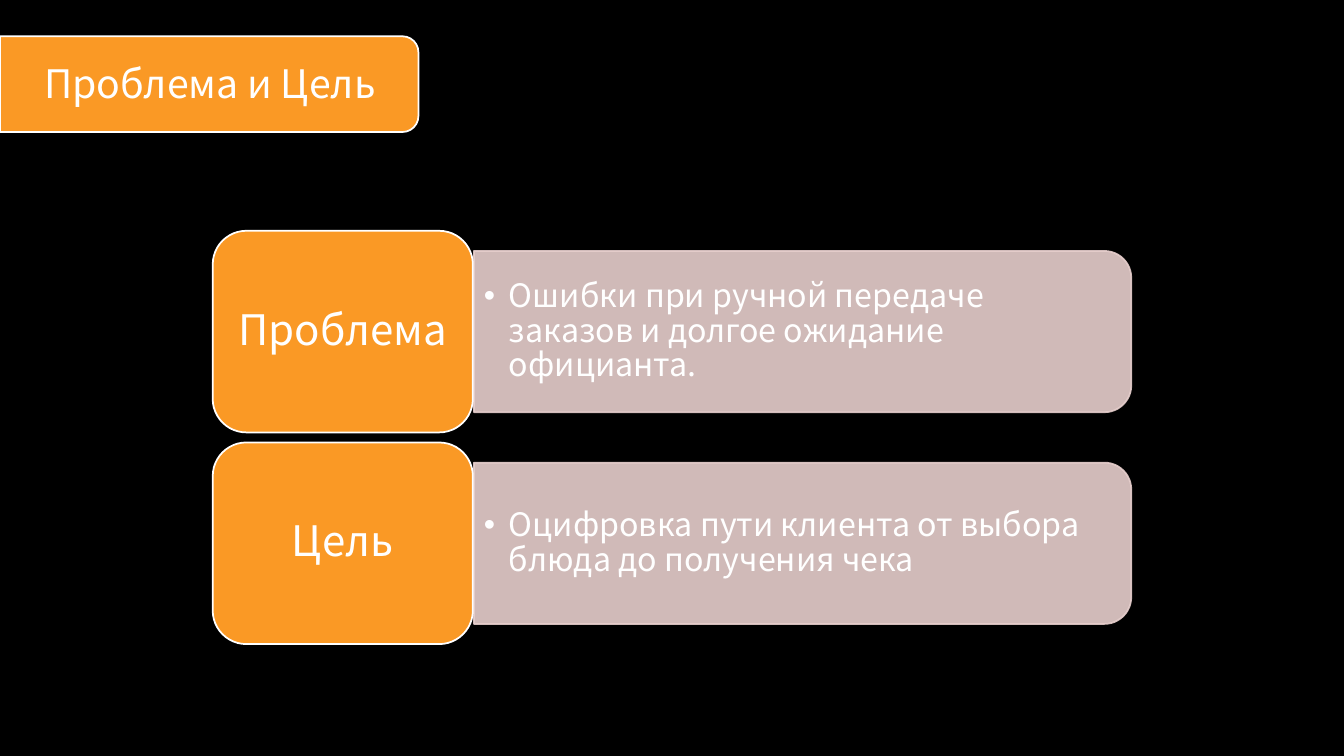
from dataclasses import dataclass

from lxml.etree import SubElement
from pptx import Presentation
from pptx.dml.color import RGBColor
from pptx.enum.shapes import MSO_SHAPE
from pptx.enum.text import MSO_ANCHOR, PP_ALIGN
from pptx.oxml.ns import qn
from pptx.shapes.autoshape import Shape
from pptx.slide import Slide
from pptx.text.text import TextFrame, _Paragraph
from pptx.util import Inches, Pt


@dataclass(frozen=True)
class Theme:
    font: str = "Noto Sans CJK JP"
    background: RGBColor = RGBColor(0x00, 0x00, 0x00)
    accent: RGBColor = RGBColor(0xFA, 0x99, 0x25)
    panel: RGBColor = RGBColor(0xE7, 0xCF, 0xCD)
    white: RGBColor = RGBColor(0xFF, 0xFF, 0xFF)
    title_size: float = 28
    label_size: float = 30
    detail_size: float = 23
    outline: float = 1.25
    panel_opacity: int = 90


@dataclass(frozen=True)
class Box:
    left: float
    top: float
    width: float
    height: float


@dataclass(frozen=True)
class Topic:
    label: str
    detail: str


THEME = Theme()
TITLE = "Проблема и Цель"
TOPICS = [
    Topic("Проблема", "Ошибки при ручной передаче заказов и долгое ожидание официанта."),
    Topic("Цель", "Оцифровка пути клиента от выбора блюда до получения чека"),
]
FIRST_TOP = 2.29
ROW_PITCH = 2.1


def add_filled(slide: Slide, preset: MSO_SHAPE, box: Box, fill: RGBColor,
               line: RGBColor, opacity: int = 100) -> Shape:
    shape = slide.shapes.add_shape(preset, Inches(box.left), Inches(box.top),
                                   Inches(box.width), Inches(box.height))
    shape.shadow.inherit = False
    shape.fill.solid()
    shape.fill.fore_color.rgb = fill
    shape.line.color.rgb = line
    shape.line.width = Pt(THEME.outline)
    if opacity < 100:
        for color in shape._element.spPr.iter(qn("a:srgbClr")):
            SubElement(color, qn("a:alpha"), val=str(opacity * 1000))
    return shape


def add_right_rounded(slide: Slide, box: Box, fill: RGBColor, line: RGBColor,
                      opacity: int = 100) -> None:
    """Draw a bar with rounded right corners; box is its place after the quarter turn."""
    shift = (box.width - box.height) / 2
    upright = Box(box.left + shift, box.top - shift, box.height, box.width)
    bar = add_filled(slide, MSO_SHAPE.ROUND_2_SAME_RECTANGLE, upright, fill, line, opacity)
    bar.rotation = 90


def add_text_box(slide: Slide, box: Box) -> TextFrame:
    frame = slide.shapes.add_textbox(Inches(box.left), Inches(box.top),
                                     Inches(box.width), Inches(box.height)).text_frame
    frame.word_wrap = True
    return frame


def write(paragraph: _Paragraph, text: str, size: float) -> None:
    run = paragraph.add_run()
    run.text = text
    run.font.name = THEME.font
    run.font.size = Pt(size)
    run.font.color.rgb = THEME.white


def add_bullet(paragraph: _Paragraph, indent: float) -> None:
    properties = paragraph._p.get_or_add_pPr()
    properties.set("marL", str(Inches(indent)))
    properties.set("indent", str(-Inches(indent)))
    SubElement(properties, qn("a:buFont"), typeface="Arial")
    SubElement(properties, qn("a:buChar"), char="•")


def add_title(slide: Slide) -> None:
    add_right_rounded(slide, Box(0, 0.36, 4.15, 0.95), THEME.accent, THEME.white)
    frame = add_text_box(slide, Box(0.34, 0.54, 6.67, 0.57))
    write(frame.paragraphs[0], TITLE, THEME.title_size)


def add_topic(slide: Slide, topic: Topic, top: float) -> None:
    add_right_rounded(slide, Box(4.7, top + 0.2, 6.52, 1.6), THEME.panel,
                      THEME.panel, THEME.panel_opacity)

    detail = add_text_box(slide, Box(4.7, top + 0.28, 6.44, 1.44))
    detail.vertical_anchor = MSO_ANCHOR.MIDDLE
    sentence = detail.paragraphs[0]
    add_bullet(sentence, 0.25)
    sentence.line_spacing = 0.9
    write(sentence, topic.detail, THEME.detail_size)

    tile = add_filled(slide, MSO_SHAPE.ROUNDED_RECTANGLE, Box(2.11, top, 2.58, 2),
                      THEME.accent, THEME.white)
    label = tile.text_frame
    label.word_wrap = True
    label.vertical_anchor = MSO_ANCHOR.MIDDLE
    label.margin_left = label.margin_right = Inches(0.12)
    label.margin_top = label.margin_bottom = Inches(0.06)
    heading = label.paragraphs[0]
    heading.alignment = PP_ALIGN.CENTER
    heading.line_spacing = 0.9
    write(heading, topic.label, THEME.label_size)


def main() -> None:
    deck = Presentation()
    deck.slide_width = Inches(13.33)
    deck.slide_height = Inches(7.5)
    slide = deck.slides.add_slide(deck.slide_layouts[6])
    slide.background.fill.solid()
    slide.background.fill.fore_color.rgb = THEME.background

    add_title(slide)
    for row, topic in enumerate(TOPICS):
        add_topic(slide, topic, FIRST_TOP + row * ROW_PITCH)
    deck.save("out.pptx")


if __name__ == "__main__":
    main()
